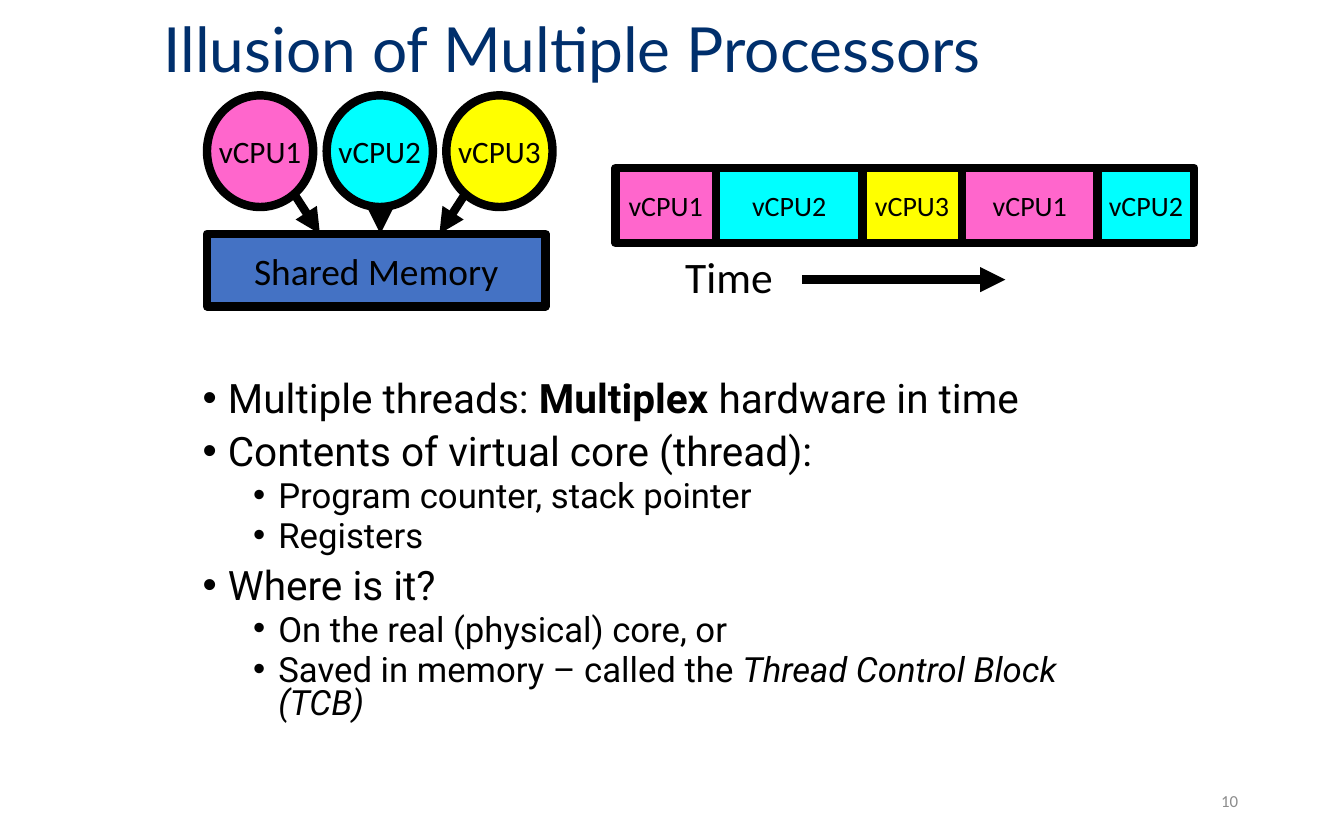
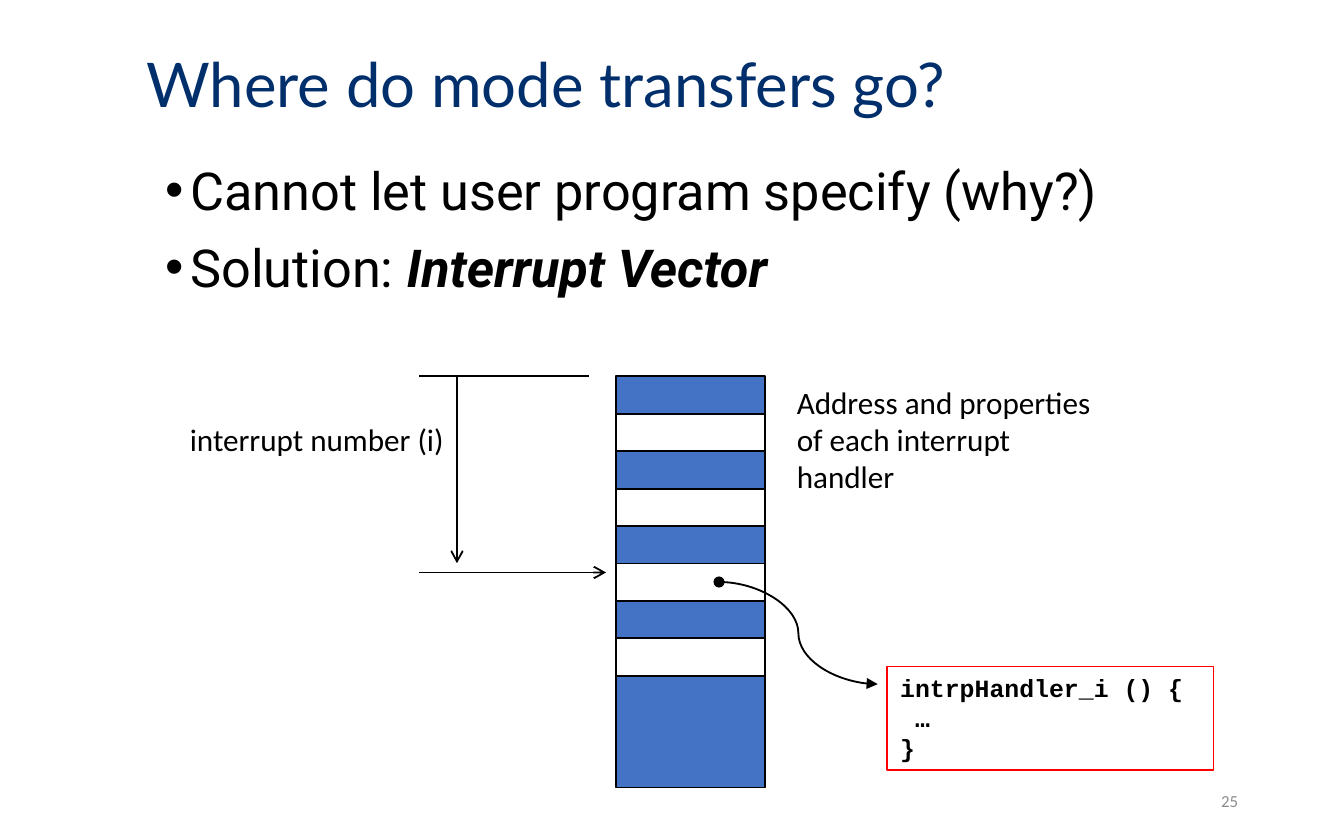
import pptx
import pptx.dml.color
import pptx.enum.shapes
import pptx.enum.text
import pptx.oxml
import pptx.oxml.ns
import pptx.util
from lxml import etree

Pt = pptx.util.Pt
SHAPE = pptx.enum.shapes.MSO_SHAPE
CONNECTOR = pptx.enum.shapes.MSO_CONNECTOR
ALIGN = pptx.enum.text.PP_ALIGN
ANCHOR = pptx.enum.text.MSO_ANCHOR
color = pptx.dml.color.RGBColor.from_string
qn = pptx.oxml.ns.qn

NAVY, BLACK, WHITE, GREY = "002F6C", "000000", "FFFFFF", "8C8C8C"
BLUE, RED = "4472C4", "FF0000"
CPU_FILLS = {"vCPU1": "FF66CC", "vCPU2": "00FFFF", "vCPU3": "FFFF00"}


def place(slide, form, box, paragraphs=(), font="Calibri", size=16.7, ink=BLACK,
          align=ALIGN.LEFT, anchor=ANCHOR.TOP, wrap=True, fill=None, line=None, weight=1):
    lengths = [Pt(value) for value in box]
    if form is None:
        item = slide.shapes.add_textbox(*lengths)
    else:
        item = slide.shapes.add_shape(form, *lengths)
        item.shadow.inherit = False
        item.line.color.rgb = color(line)
        item.line.width = Pt(weight)
        if fill:
            item.fill.solid()
            item.fill.fore_color.rgb = color(fill)
        else:
            item.fill.background()
    frame = item.text_frame
    frame.word_wrap = wrap
    frame.vertical_anchor = anchor
    for index, runs in enumerate(paragraphs):
        paragraph = frame.add_paragraph() if index else frame.paragraphs[0]
        paragraph.alignment = align
        for text, style in runs:
            run = paragraph.add_run()
            run.text = text
            run.font.name = font
            run.font.size = Pt(size)
            run.font.color.rgb = color(ink)
            run.font.bold = "b" in style
            run.font.italic = "i" in style
    return frame


def connect(slide, start, end, weight, tail=None, head=None, form=CONNECTOR.STRAIGHT):
    link = slide.shapes.add_connector(form, *[Pt(value) for value in start + end])
    link.line.color.rgb = color(BLACK)
    link.line.width = Pt(weight)
    outline = link.line._get_or_add_ln()
    for tag, arrow in (("a:headEnd", head), ("a:tailEnd", tail)):
        if arrow:
            etree.SubElement(outline, qn(tag), type=arrow)
    etree.SubElement(link._element.spPr, qn("a:effectLst"))


deck = pptx.Presentation()
deck.slide_width, deck.slide_height = Pt(720), Pt(450)

outlines = [
    {
        "title": "Illusion of Multiple Processors", "title_size": 33.3, "number": "10",
        "title_box": (80.6, 2.2, 517.7, 51.8), "body_box": (101.5, 201.6, 517.7, 204.5),
        "sizes": (21.7, 18.6), "spacing": 0.8,
        "points": [
            (0, [("Multiple threads: ", ""), ("Multiplex ", "b"), ("hardware in time", "")]),
            (0, [("Contents of virtual core (thread):", "")]),
            (1, [("Program counter, stack pointer", "")]),
            (1, [("Registers", "")]),
            (0, [("Where is it?", "")]),
            (1, [("On the real (physical) core, or", "")]),
            (1, [("Saved in memory – called the ", ""), ("Thread Control Block (TCB)", "i")]),
        ],
    },
    {
        "title": "Where do mode transfers go?", "title_size": 33, "number": "25",
        "title_box": (71.3, 3.6, 517.7, 87.1), "body_box": (81.4, 81.4, 517.7, 285.8),
        "sizes": (28,), "spacing": 1.0,
        "points": [
            (0, [("Cannot let user program specify (why?)", "")]),
            (0, [("Solution: ", ""), ("Interrupt Vector", "bi")]),
        ],
    },
]

slides = []
for outline in outlines:
    slide = deck.slides.add_slide(deck.slide_layouts[6])
    slides.append(slide)
    title = place(slide, None, outline["title_box"], [[(outline["title"], "")]], "Lato",
                  outline["title_size"], NAVY, anchor=ANCHOR.MIDDLE)
    title.paragraphs[0].line_spacing = 0.9
    points = outline["points"]
    body = place(slide, None, outline["body_box"], [runs for level, runs in points], "Roboto")
    for index, (paragraph, (level, runs)) in enumerate(zip(body.paragraphs, points)):
        paragraph.level = level
        paragraph.line_spacing = outline["spacing"]
        paragraph.space_before = Pt((7.5, 3.8)[level] if index else 0)
        properties = paragraph._p.get_or_add_pPr()
        properties.set("marL", str(Pt((13.5, 40.5)[level])))
        properties.set("indent", str(Pt(-13.5)))
        etree.SubElement(properties, qn("a:buFont"), typeface="Arial")
        etree.SubElement(properties, qn("a:buChar"), char="•")
        for run in paragraph.runs:
            run.font.size = Pt(outline["sizes"][level])
    place(slide, None, (508.3, 416.9, 162, 23.8), [[(outline["number"], "")]], size=9,
          ink=GREY, align=ALIGN.RIGHT, anchor=ANCHOR.MIDDLE)

processors, transfers = slides
centred = {"align": ALIGN.CENTER, "anchor": ANCHOR.MIDDLE, "wrap": False,
           "line": BLACK, "weight": 4.5}

for index, (cpu, fill) in enumerate(CPU_FILLS.items()):
    place(processors, SHAPE.OVAL, (110.9 + 64.1 * index, 51.1, 56.9, 59.8), [[(cpu, "")]],
          fill=fill, **centred)
place(processors, SHAPE.RECTANGLE, (110.9, 125.3, 181.4, 38.9), [[("Shared Memory", "")]],
      size=20, fill=BLUE, **centred)
for cpu_edge, memory_x in (((157, 103), 171.4), ((249.8, 103), 235.4), ((203.8, 110.2), 203.8)):
    connect(processors, cpu_edge, (memory_x, 125.3), 4.5, "triangle")

slice_left = 329.8
for cpu, duration in (("vCPU1", 53.7), ("vCPU2", 78.5), ("vCPU3", 53.3),
                      ("vCPU1", 72.7), ("vCPU2", 51.8)):
    place(processors, SHAPE.RECTANGLE, (slice_left, 90, duration, 40.3), [[(cpu, "")]],
          size=15, fill=CPU_FILLS[cpu], **centred)
    slice_left += duration
place(processors, None, (360, 130.3, 69.8, 35.3), [[("Time", "")]], size=23.3, wrap=False)
connect(processors, (429.8, 149.8), (538.6, 149.8), 4.5, "triangle")

vector_left, vector_top, vector_width, entry_height = 329.8, 201.6, 79.9, 20.05
place(transfers, SHAPE.RECTANGLE, (vector_left, vector_top, vector_width, 220.3),
      fill=BLUE, line=BLACK)
for entry in range(1, 8, 2):
    place(transfers, SHAPE.RECTANGLE,
          (vector_left, vector_top + entry * entry_height, vector_width, entry_height),
          fill=WHITE, line=BLACK)

connect(transfers, (315.4, vector_top), (224.6, vector_top), 1)
connect(transfers, (244.8, vector_top), (244.8, 301.7), 1, "arrow")
place(transfers, None, (75.6, 221.8, 169.2, 27.4), [[("interrupt number (i)", "")]],
      align=ALIGN.RIGHT)
connect(transfers, (224.6, 306.7), (324.7, 306.7), 1, "arrow")
connect(transfers, (385.2, 311.8), (470.2, 366.5), 1, "triangle", "oval", CONNECTOR.CURVE)
handler_code = ["intrpHandler_i () {", " …", "}"]
place(transfers, SHAPE.RECTANGLE, (475.2, 357.1, 175, 55.4),
      [[(code, "b")] for code in handler_code], "Courier New", 13.3, line=RED, weight=0.75)
place(transfers, None, (419.8, vector_top, 180, 67.7),
      [[("Address and properties of each interrupt handler", "")]])

deck.save("out.pptx")
